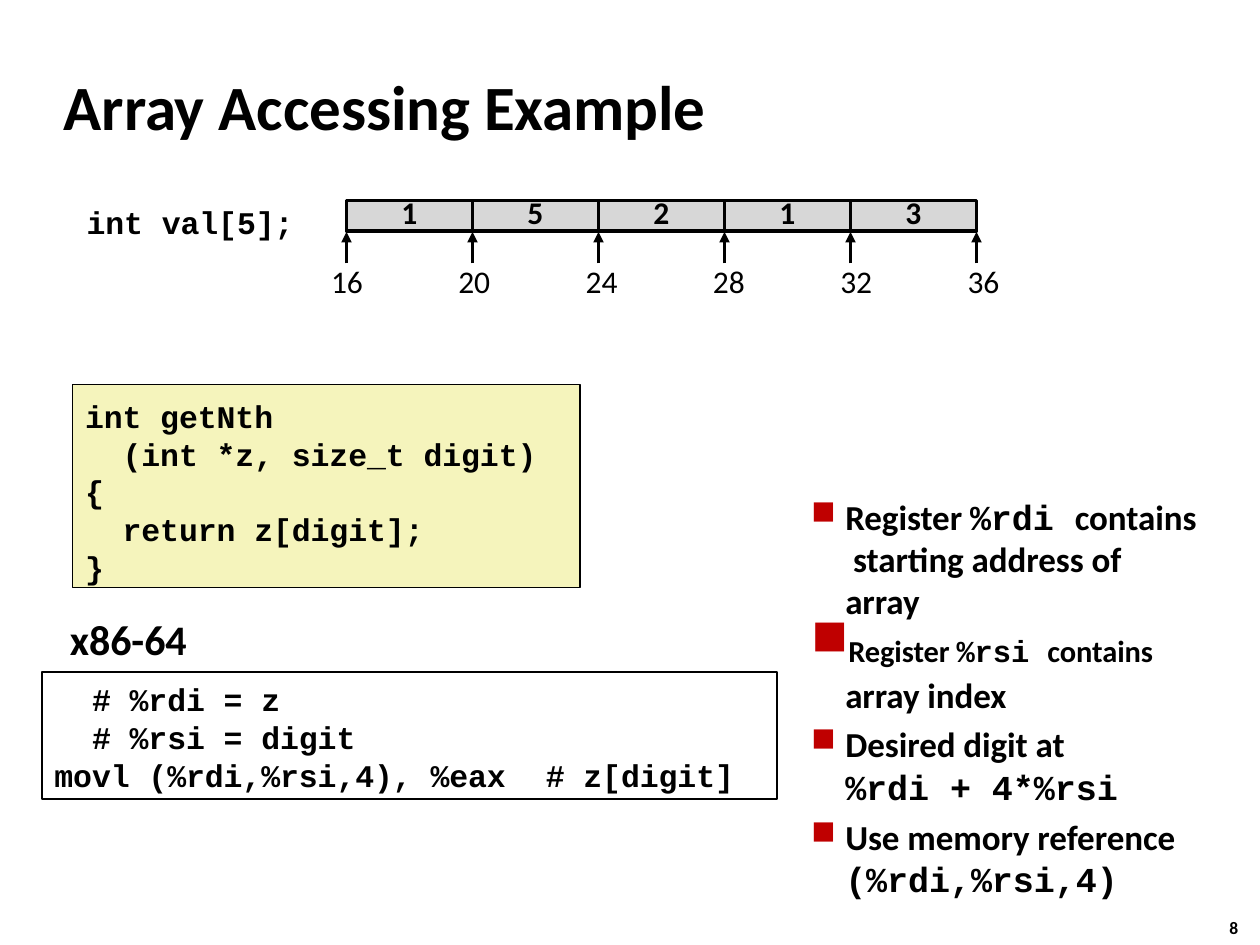
from dataclasses import dataclass
from typing import NamedTuple

from lxml.etree import SubElement
from pptx import Presentation
from pptx.dml.color import RGBColor
from pptx.enum.shapes import MSO_CONNECTOR, MSO_SHAPE
from pptx.enum.text import MSO_ANCHOR, MSO_AUTO_SIZE, PP_ALIGN
from pptx.oxml.ns import qn
from pptx.util import Pt


@dataclass(frozen=True)
class Theme:
    ink: RGBColor = RGBColor(0, 0, 0)
    cream: RGBColor = RGBColor(0xF5, 0xF4, 0xBC)
    gray: RGBColor = RGBColor(0xD7, 0xD7, 0xD7)
    red: str = "BF0000"
    sans: str = "Calibri"
    mono: str = "Courier New"
    title: int = 36
    raised: int = 30
    head: int = 24
    body: int = 20
    code: int = 18
    page: int = 10
    track: int = -5


class Box(NamedTuple):
    left: float
    top: float
    width: float
    height: float

    def points(self):
        return [Pt(side) for side in self]


THEME = Theme()


def set_frame(shape, left=0, top=0):
    frame = shape.text_frame
    frame.word_wrap = True
    frame.auto_size = MSO_AUTO_SIZE.NONE
    frame.vertical_anchor = MSO_ANCHOR.TOP
    frame.margin_left, frame.margin_top = Pt(left), Pt(top)
    frame.margin_right = frame.margin_bottom = 0
    return frame


def add_run(para, text, size, face=THEME.sans, bold=True, raised=0):
    run = para.add_run()
    run.text = text
    font = run.font
    font.name, font.size, font.bold = face, Pt(size), bold
    font.color.rgb = THEME.ink
    props = run._r.get_or_add_rPr()
    props.set("spc", str(THEME.track))
    if raised:
        props.set("baseline", str(raised))


def add_para(frame, first):
    para = frame.paragraphs[0] if first else frame.add_paragraph()
    para.alignment = PP_ALIGN.LEFT
    return para


def add_text(slide, box, text, size, **style):
    frame = set_frame(slide.shapes.add_textbox(*box.points()), top=2)
    para = add_para(frame, True)
    add_run(para, text, size, **style)
    return para


def add_rect(slide, box, fill, weight):
    rect = slide.shapes.add_shape(MSO_SHAPE.RECTANGLE, *box.points())
    rect.shadow.inherit = False
    if fill is None:
        rect.fill.background()
    else:
        rect.fill.solid()
        rect.fill.fore_color.rgb = fill
    rect.line.color.rgb = THEME.ink
    rect.line.width = Pt(weight)
    return rect


def add_title(slide, box, text):
    title = slide.shapes.title
    title.left, title.top, title.width, title.height = box.points()
    para = add_para(set_frame(title, left=0.5, top=2), True)
    add_run(para, text, THEME.title)


def add_arrow(slide, x, start, end):
    arrow = slide.shapes.add_connector(
        MSO_CONNECTOR.STRAIGHT, Pt(x), Pt(start), Pt(x), Pt(end))
    arrow.line.color.rgb = THEME.ink
    arrow.line.width = Pt(2)
    SubElement(arrow.line._get_or_add_ln(), qn("a:tailEnd"), type="triangle")
    SubElement(arrow._element.spPr, qn("a:effectLst"))


def add_array(slide, box, values, start, step):
    wide = box.width / len(values)
    for i, value in enumerate(values):
        cell = Box(box.left + i * wide, box.top, wide, box.height)
        para = add_para(set_frame(add_rect(slide, cell, THEME.gray, 2)), True)
        para.alignment = PP_ALIGN.CENTER
        para.line_spacing = Pt(17.5)
        add_run(para, str(value), THEME.code)
    base = box.top + box.height
    for i in range(len(values) + 1):
        add_arrow(slide, box.left + i * wide, base + 18.5, base + 0.5)
        label = Box(box.left - 9.7 + i * 72.75, base + 15.6, 20, 24)
        para = add_text(slide, label, str(start + i * step), THEME.code, bold=False)
        para.alignment = PP_ALIGN.CENTER


def add_code(slide, box, lines, fill, top, tab=None):
    frame = set_frame(add_rect(slide, box, fill, 1), left=7.2, top=top)
    for i, line in enumerate(lines):
        para = add_para(frame, i == 0)
        if "\t" in line:
            tabs = SubElement(para._p.get_or_add_pPr(), qn("a:tabLst"))
            SubElement(tabs, qn("a:tab"), pos=str(Pt(tab)), algn="l")
        add_run(para, line, THEME.code, face=THEME.mono)


def add_bullet(para):
    props = para._p.get_or_add_pPr()
    props.set("indent", str(Pt(-19.5)))
    color = SubElement(props, qn("a:buClr"))
    SubElement(color, qn("a:srgbClr"), val=THEME.red)
    SubElement(props, qn("a:buSzPct"), val="95000")
    SubElement(props, qn("a:buChar"), char="■")


def add_notes(slide, box):
    frame = set_frame(slide.shapes.add_textbox(*box.points()), top=2)

    def start(first=False, bullet=True, gap=0):
        para = add_para(frame, first)
        para._p.get_or_add_pPr().set("marL", str(Pt(20)))
        if bullet:
            add_bullet(para)
        if gap:
            para.space_before = Pt(gap)
        return para

    para = start(first=True)
    add_run(para, "Register ", THEME.body)
    add_run(para, "%rdi ", THEME.body, face=THEME.mono)
    add_run(para, "contains", THEME.body)
    para.add_line_break()
    add_run(para, " starting address of array", THEME.body)

    para = start(gap=7.7)
    para.line_spacing = Pt(23)
    for text, face in (("Register ", THEME.sans), ("%rsi ", THEME.mono),
                       ("contains ", THEME.sans)):
        add_run(para, text, THEME.raised, face=face, raised=3000)
    add_run(para, "array index", THEME.body)

    for text, code, gap in (("Desired digit at", "%rdi + 4*%rsi", 4.4),
                            ("Use memory reference", "(%rdi,%rsi,4)", 5)):
        add_run(start(gap=gap), text, THEME.body)
        add_run(start(bullet=False), code, THEME.body, face=THEME.mono)


def main():
    deck = Presentation()
    deck.slide_width, deck.slide_height = Pt(720), Pt(540)
    slide = deck.slides.add_slide(deck.slide_layouts[5])
    add_title(slide, Box(36, 36.7, 400, 45.4), "Array Accessing Example")
    add_text(slide, Box(49.5, 113.8, 124, 24), "int val[5];",
             THEME.code, face=THEME.mono)
    add_array(slide, Box(198, 114.5, 360, 17.5), [1, 5, 2, 1, 3], 16, 4)
    add_code(slide, Box(41.5, 219.8, 290, 116),
             ["int getNth", "  (int *z, size_t digit)", "{",
              "  return z[digit];", "}"], THEME.cream, 7)
    add_text(slide, Box(40, 348.5, 72, 31), "x86-64", THEME.head)
    add_code(slide, Box(24, 384, 420, 72.5),
             ["  # %rdi = z", "  # %rsi = digit",
              "movl (%rdi,%rsi,4), %eax\t# z[digit]"], None, 4.8, tab=280.8)
    add_notes(slide, Box(463, 281, 222.5, 209))
    para = add_text(slide, Box(702.5, 523.6, 12, 12), "8", THEME.page)
    para.line_spacing = Pt(10.5)
    deck.save("out.pptx")


if __name__ == "__main__":
    main()
